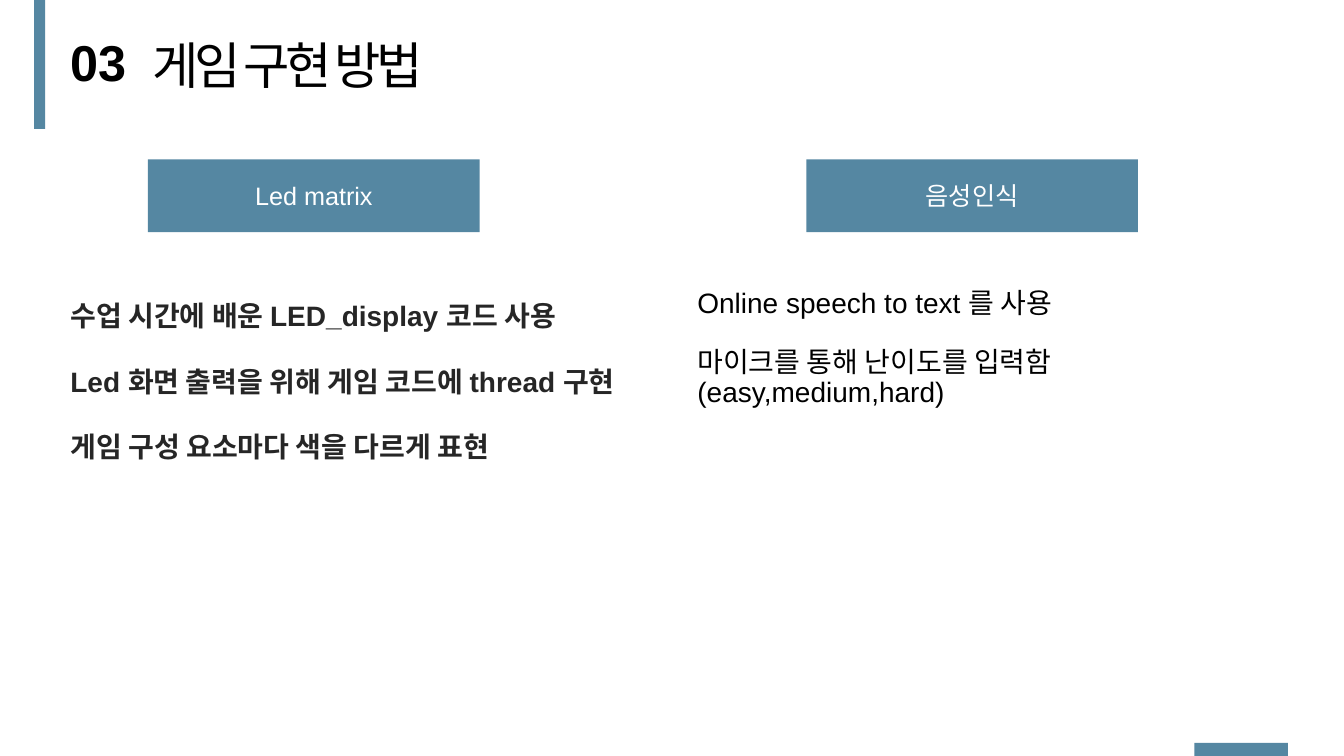
from lxml.etree import SubElement
from pptx import Presentation
from pptx.dml.color import RGBColor
from pptx.enum.shapes import MSO_SHAPE
from pptx.enum.text import MSO_ANCHOR, MSO_AUTO_SIZE, PP_ALIGN
from pptx.oxml.ns import qn
from pptx.util import Cm, Pt

BLUE = RGBColor(0x55, 0x87, 0xA2)
BLACK = RGBColor(0, 0, 0)
DARK = RGBColor(0x26, 0x26, 0x26)
WHITE = RGBColor(0xFF, 0xFF, 0xFF)


def write(shape, *lines, size=20, color=BLACK, bold=False, align=PP_ALIGN.LEFT,
          anchor=MSO_ANCHOR.TOP, after=0, leading=1.0, track=0):
    """Write each line as a formatted paragraph without a bullet."""
    frame = shape.text_frame
    frame.word_wrap = True
    frame.auto_size = MSO_AUTO_SIZE.NONE
    frame.vertical_anchor = anchor
    frame.text = "\n".join(lines)
    for para in frame.paragraphs:
        para.alignment = align
        para.line_spacing = leading
        para.space_before = Pt(0)
        para.space_after = Pt(after)
        props = para._p.get_or_add_pPr()
        props.set("marL", "0")
        props.set("indent", "0")
        SubElement(props, qn("a:buNone"))
        for run in para.runs:
            font = run.font
            font.name, font.size, font.bold = "Arial", Pt(size), bold
            font.color.rgb = color
            if track:
                run._r.get_or_add_rPr().set("spc", str(track * 100))


def place(shape, left, top, width, height):
    """Move a placeholder to a position given in centimetres."""
    shape.left, shape.top = Cm(left), Cm(top)
    shape.width, shape.height = Cm(width), Cm(height)


def add_bar(slide, left, top, width, height):
    """Add a plain blue rectangle and return it."""
    bar = slide.shapes.add_shape(
        MSO_SHAPE.RECTANGLE, Cm(left), Cm(top), Cm(width), Cm(height))
    bar.shadow.inherit = False
    bar.fill.solid()
    bar.fill.fore_color.rgb = BLUE
    bar.line.fill.background()
    return bar


def add_label(slide, left, text):
    """Add the blue heading box of a column."""
    write(add_bar(slide, left, 4.02, 8.36, 1.83), text, size=18, color=WHITE,
          align=PP_ALIGN.CENTER, anchor=MSO_ANCHOR.MIDDLE)


def main():
    """Build the slide and save it."""
    deck = Presentation()
    deck.slide_width, deck.slide_height = Cm(33.87), Cm(19.05)
    slide = deck.slides.add_slide(deck.slide_layouts[3])
    title, matrix, voice = slide.placeholders

    add_bar(slide, 0.86, 0, 0.28, 3.25)
    add_bar(slide, 30.1, 18.72, 2.36, 0.33)

    number = slide.shapes.add_textbox(Cm(1.52), Cm(0.66), Cm(2), Cm(1.8))
    write(number, "03", size=36, bold=True)
    place(title, 3.58, 0.74, 8.08, 1.8)
    write(title, "게임 구현 방법", size=36, track=-3)

    add_label(slide, 3.73, "Led matrix")
    place(matrix, 1.52, 7.39, 15.6, 4.52)
    write(matrix, "수업 시간에 배운 LED_display 코드 사용",
          "Led 화면 출력을 위해 게임 코드에 thread 구현",
          "게임 구성 요소마다 색을 다르게 표현",
          color=DARK, bold=True, after=23)

    add_label(slide, 20.32, "음성인식")
    place(voice, 17.32, 6.96, 15.04, 3.68)
    write(voice, "Online speech to text 를 사용",
          "마이크를 통해 난이도를 입력함\v(easy,medium,hard)",
          anchor=MSO_ANCHOR.MIDDLE, after=20.5, leading=0.9)

    deck.save("out.pptx")


if __name__ == "__main__":
    main()
